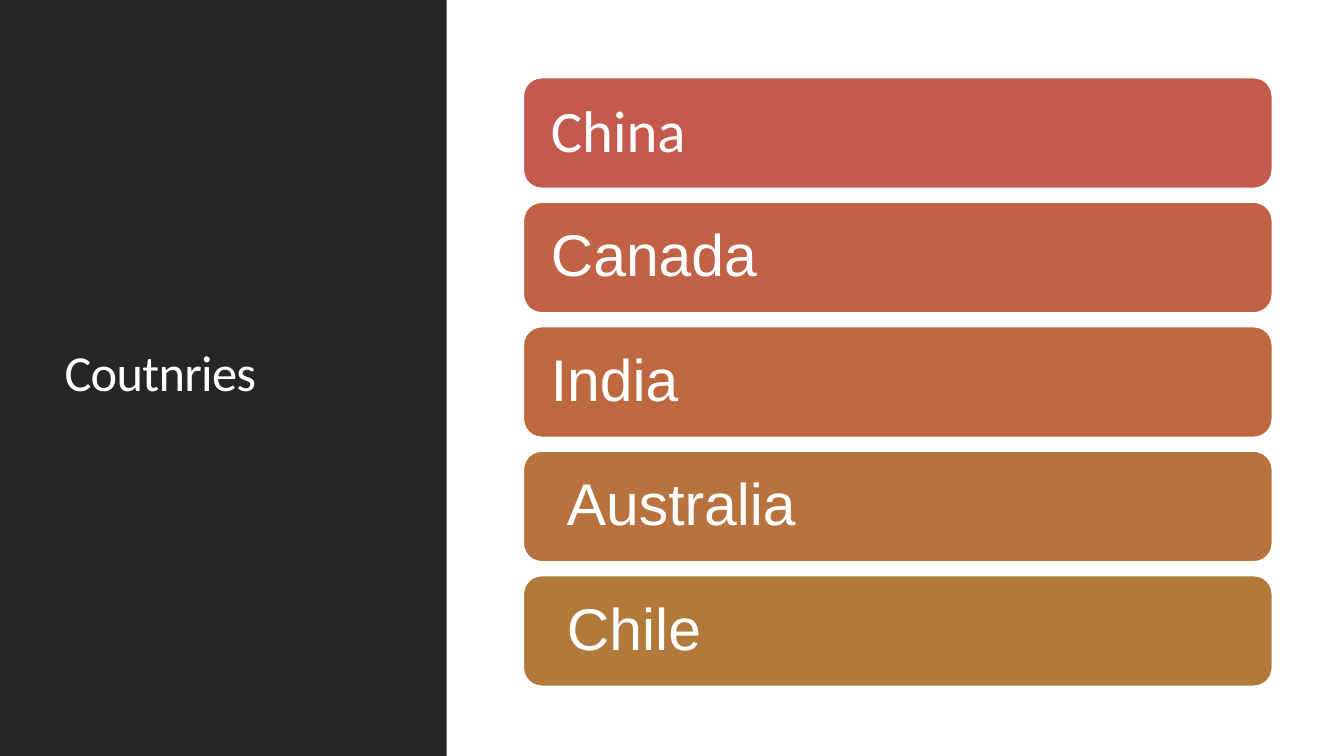
"""Build a slide with a dark title panel beside a stack of five country bars."""
import pptx
import pptx.dml.color
import pptx.enum.shapes
import pptx.enum.text
import pptx.util

RGBColor = pptx.dml.color.RGBColor
Inches = pptx.util.Inches
WHITE = RGBColor(0xFF, 0xFF, 0xFF)
CHARCOAL = RGBColor(0x26, 0x26, 0x26)

TITLE = "Coutnries"
COUNTRIES = [
    ("China", "Calibri", 0, RGBColor(0xC3, 0x5A, 0x4D)),
    ("Canada", "Arial", 0, RGBColor(0xC1, 0x61, 0x46)),
    ("India", "Arial", 0, RGBColor(0xBE, 0x68, 0x40)),
    ("Australia", "Arial", 0.16, RGBColor(0xB8, 0x72, 0x3D)),
    ("Chile", "Arial", 0.16, RGBColor(0xB1, 0x7A, 0x3B)),
]

SLIDE_WIDTH, SLIDE_HEIGHT = 13.33, 7.5
PANEL_WIDTH = 4.43
TITLE_BOX = (0.54, 0.57, 3.37, 6.31)
BAR_LEFT, BAR_WIDTH, BAR_HEIGHT = 5.19, 7.43, 1.1
BAR_TOP, BAR_PITCH = 0.77, 1.235
BAR_INSET = 0.22


def add_block(slide, kind, box, fill, line=None):
    """Add a filled preset shape, outlined only when a line colour is given."""
    shape = slide.shapes.add_shape(kind, *map(Inches, box))
    shape.shadow.inherit = False
    shape.fill.solid()
    shape.fill.fore_color.rgb = fill
    if line is None:
        shape.line.fill.background()
    else:
        shape.line.color.rgb = line
        shape.line.width = pptx.util.Pt(1.25)
    return shape


def write_text(shape, text, font="Calibri", size=42, inset=0.1, spacing=0):
    """Write left-aligned white text, centred vertically, in a shape."""
    frame = shape.text_frame
    frame.word_wrap = True
    frame.auto_size = pptx.enum.text.MSO_AUTO_SIZE.NONE
    frame.vertical_anchor = pptx.enum.text.MSO_ANCHOR.MIDDLE
    frame.margin_left = Inches(inset)
    paragraph = frame.paragraphs[0]
    paragraph.alignment = pptx.enum.text.PP_ALIGN.LEFT
    paragraph.line_spacing = 0.9
    run = paragraph.add_run()
    run.text = text
    run.font.name = font
    run.font.size = pptx.util.Pt(size)
    run.font.color.rgb = WHITE
    if spacing:
        run.font.fill
        run.font.bold = False
        run.font.italic = False
        run_properties = run.font.color and paragraph.runs[0]._r.get_or_add_rPr()
        run_properties.set("spc", str(round(spacing * 100)))


def main():
    """Lay out the panel, the title and the bars, then save."""
    presentation = pptx.Presentation()
    presentation.slide_width = Inches(SLIDE_WIDTH)
    presentation.slide_height = Inches(SLIDE_HEIGHT)
    slide = presentation.slides.add_slide(presentation.slide_layouts.get_by_name("Title Only"))
    shapes = pptx.enum.shapes.MSO_SHAPE

    panel = add_block(slide, shapes.RECTANGLE, (0, 0, PANEL_WIDTH, SLIDE_HEIGHT), CHARCOAL)
    title = slide.shapes.title
    title.left, title.top, title.width, title.height = map(Inches, TITLE_BOX)
    write_text(title, TITLE, size=36, spacing=-0.5)
    panel.element.addnext(title.element)

    for row, (country, font, indent, color) in enumerate(COUNTRIES):
        box = (BAR_LEFT, BAR_TOP + row * BAR_PITCH, BAR_WIDTH, BAR_HEIGHT)
        bar = add_block(slide, shapes.ROUNDED_RECTANGLE, box, color, line=WHITE)
        write_text(bar, country, font=font, inset=BAR_INSET + indent)

    presentation.save("out.pptx")


if __name__ == "__main__":
    main()
